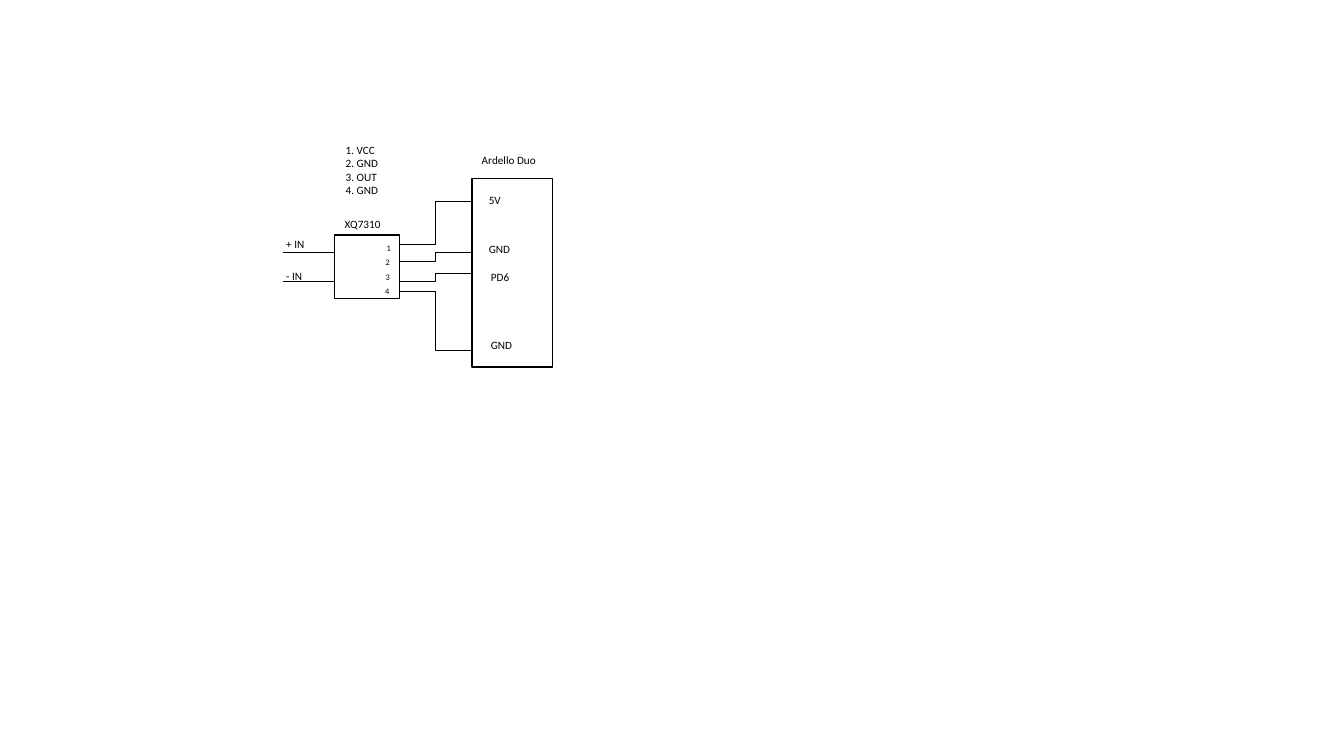
from dataclasses import dataclass

from lxml.etree import SubElement
from pptx import Presentation
from pptx.dml.color import RGBColor
from pptx.enum.shapes import MSO_CONNECTOR as Connector
from pptx.enum.shapes import MSO_SHAPE as Shape
from pptx.enum.text import PP_ALIGN as Align
from pptx.oxml.ns import qn
from pptx.slide import Slide
from pptx.util import Inches, Pt

BLACK = RGBColor(0x00, 0x00, 0x00)
WHITE = RGBColor(0xFF, 0xFF, 0xFF)
FONT = "Calibri"
COLUMNS, ROWS = 1333, 750
LABEL_SIZE, PIN_SIZE = 8, 6
LABEL_ROWS, LABEL_INSET = 24, 10


@dataclass(frozen=True)
class Area:
    """A rectangle in grid cells."""
    column: int
    row: int
    columns: int
    rows: int

    @property
    def right(self) -> int:
        """Column of the right edge."""
        return self.column + self.columns


@dataclass(frozen=True)
class Label:
    """A text and the area that holds it."""
    text: str
    area: Area


@dataclass(frozen=True)
class Wire:
    """The rows where a wire leaves the amplifier and meets the board."""
    amplifier_row: int
    board_row: int


AMPLIFIER = Area(332, 233, 64, 63)
BOARD = Area(468, 177, 80, 187)
INPUT_START = 281
INPUT_ROWS = (250, 279)
WIRES = (Wire(289, 348), Wire(242, 200), Wire(279, 271), Wire(259, 250))
PINS = (
    Label("1", Area(374, 236, 23, 20)),
    Label("2", Area(376, 250, 17, 20)),
    Label("3", Area(381, 265, 7, 30)),
    Label("4", Area(378, 279, 12, 20)),
)
LABELS = (
    Label("5V", Area(475, 187, 43, LABEL_ROWS)),
    Label("GND", Area(475, 236, 42, LABEL_ROWS)),
    Label("GND", Area(477, 331, 42, LABEL_ROWS)),
    Label("PD6", Area(477, 263, 47, LABEL_ROWS)),
    Label("Ardello Duo", Area(BOARD.column, 147, BOARD.columns, LABEL_ROWS)),
    Label("XQ7310", Area(AMPLIFIER.column, 211, 61, LABEL_ROWS)),
    Label("+ IN", Area(274, 231, 51, LABEL_ROWS)),
    Label("- IN", Area(274, 262, 52, LABEL_ROWS)),
    Label("1. VCC\n2. GND\n3. OUT\n4. GND", Area(333, 137, 55, 64)),
)


def cells(count: int) -> Inches:
    """Turn a count of grid cells into a length."""
    return Inches(count / 100)


def place(area: Area) -> tuple[Inches, Inches, Inches, Inches]:
    """Give the left, top, width and height of an area."""
    return (cells(area.column), cells(area.row),
            cells(area.columns), cells(area.rows))


def add_block(page: Slide, area: Area) -> None:
    """Draw the outline of a component."""
    block = page.shapes.add_shape(Shape.RECTANGLE, *place(area))
    block.shadow.inherit = False
    block.fill.solid()
    block.fill.fore_color.rgb = WHITE
    block.line.color.rgb = BLACK
    block.line.width = Pt(1)


def add_wire(page: Slide, kind: Connector, start: tuple[int, int],
             end: tuple[int, int]) -> None:
    """Draw a wire between two grid points."""
    wire = page.shapes.add_connector(
        kind, *(cells(count) for count in start + end))
    wire.line.color.rgb = BLACK
    wire.line.width = Pt(0.5)
    SubElement(wire._element.spPr, qn("a:effectLst"))


def add_text(page: Slide, label: Label, *, size: int = LABEL_SIZE,
             align: Align = Align.LEFT, inset: int = LABEL_INSET) -> None:
    """Write a label, one paragraph for each line."""
    frame = page.shapes.add_textbox(*place(label.area)).text_frame
    frame.word_wrap = True
    frame.margin_left = frame.margin_right = cells(inset)
    frame.text = label.text
    for para in frame.paragraphs:
        para.alignment = align
        for span in para.runs:
            span.font.name = FONT
            span.font.size = Pt(size)
            span.font.color.rgb = BLACK


def build() -> None:
    """Build and save the wiring diagram."""
    deck = Presentation()
    deck.slide_width, deck.slide_height = cells(COLUMNS), cells(ROWS)
    page = deck.slides.add_slide(deck.slide_layouts[6])
    for component in (AMPLIFIER, BOARD):
        add_block(page, component)
    for wire in WIRES:
        add_wire(page, Connector.ELBOW, (AMPLIFIER.right, wire.amplifier_row),
                 (BOARD.column, wire.board_row))
    for row in INPUT_ROWS:
        add_wire(page, Connector.STRAIGHT, (AMPLIFIER.column, row),
                 (INPUT_START, row))
    for pin in PINS:
        add_text(page, pin, size=PIN_SIZE, align=Align.CENTER, inset=0)
    for label in LABELS:
        add_text(page, label)
    deck.save("out.pptx")


build()
